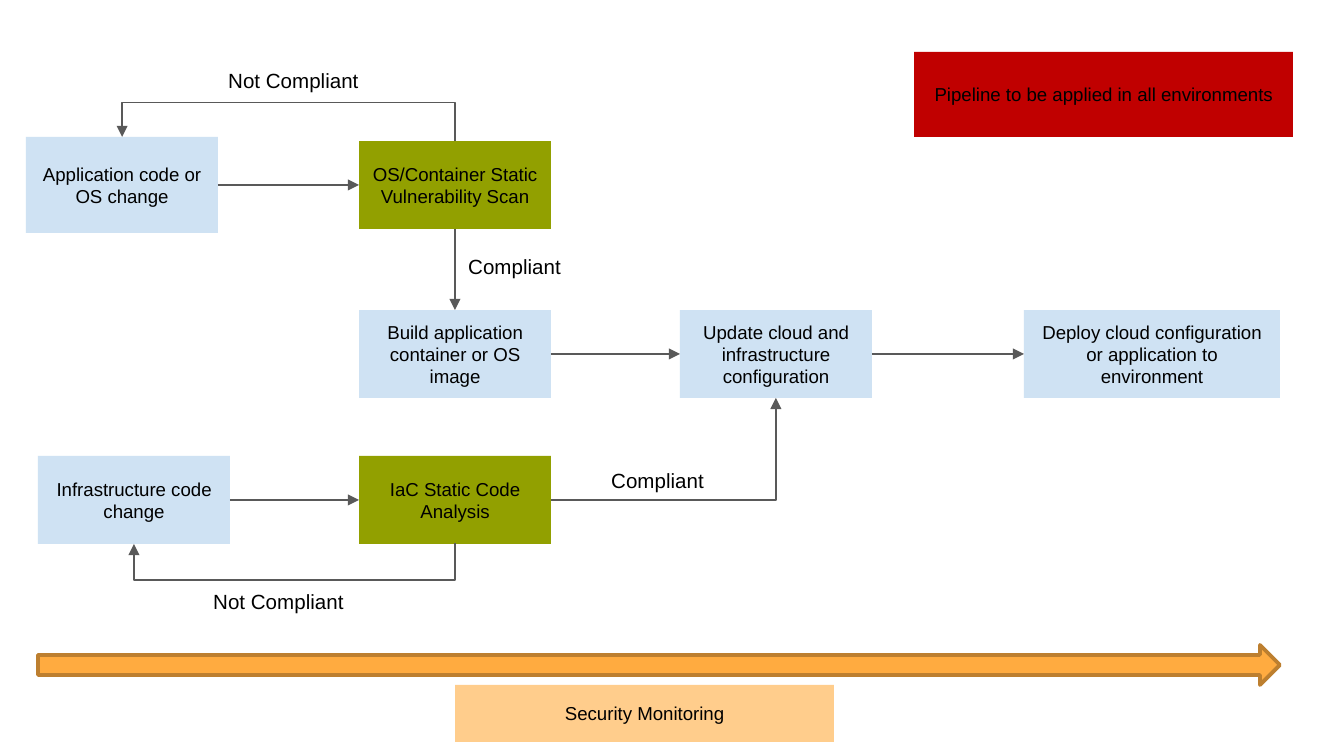
import pptx
import pptx.util
import pptx.dml.color
import pptx.enum.shapes
import pptx.enum.text
import pptx.oxml
import pptx.oxml.ns

SHAPE = pptx.enum.shapes.MSO_SHAPE
LINE = pptx.enum.shapes.MSO_CONNECTOR
ALIGN = pptx.enum.text.PP_ALIGN
BLUE, GREEN, RED, PEACH = "CFE2F3", "92A000", "C00000", "FFCD8C"


def px(n):
    return pptx.util.Emu(round(n * 914400 / 134.4))


def rgb(hex_value):
    return pptx.dml.color.RGBColor.from_string(hex_value)


def write(tf, text, size=10, align=ALIGN.CENTER, color="000000"):
    p = tf.paragraphs[0]
    p.alignment = align
    r = p.add_run()
    r.text = text
    r.font.name = "Arial"
    r.font.size = pptx.util.Pt(size)
    r.font.color.rgb = rgb(color)


def filled(s, kind, left, top, width, height, fill):
    sp = s.shapes.add_shape(kind, px(left), px(top), px(width), px(height))
    sp.shadow.inherit = False
    sp.fill.solid()
    sp.fill.fore_color.rgb = rgb(fill)
    sp.line.fill.background()
    return sp


def box(s, text, left, top, width=192, height=88, fill=BLUE):
    tf = filled(s, SHAPE.RECTANGLE, left, top, width, height, fill).text_frame
    tf.word_wrap = True
    tf.vertical_anchor = pptx.enum.text.MSO_ANCHOR.MIDDLE
    tf.margin_left = tf.margin_right = pptx.util.Inches(0.1)
    tf.margin_top = tf.margin_bottom = pptx.util.Inches(0.1)
    write(tf, text)


def label(s, text, left, top, width):
    sp = s.shapes.add_textbox(px(left), px(top), px(width), px(39))
    tf = sp.text_frame
    tf.word_wrap = False
    tf.auto_size = pptx.enum.text.MSO_AUTO_SIZE.SHAPE_TO_FIT_TEXT
    write(tf, text, size=11, align=ALIGN.LEFT)


def arrow(s, x1, y1, x2, y2, kind=LINE.STRAIGHT):
    c = s.shapes.add_connector(kind, px(x1), px(y1), px(x2), px(y2))
    c.line.color.rgb = rgb("595959")
    c.line.width = pptx.util.Pt(0.75)
    ln = c.line._get_or_add_ln()
    tail = pptx.oxml.parse_xml(
        '<a:tailEnd %s type="triangle"/>' % pptx.oxml.ns.nsdecls("a"))
    ln.append(tail)
    effects = pptx.oxml.parse_xml(
        "<a:effectLst %s/>" % pptx.oxml.ns.nsdecls("a"))
    ln.addnext(effects)
    return c


def corner_arrow(s, x1, y1, x2, y2):
    c = arrow(s, x1, y1, x2, y2, LINE.ELBOW)
    c._element.spPr.find(pptx.oxml.ns.qn("a:prstGeom")).set(
        "prst", "bentConnector2")


def loop_arrow(s, x1, y1, x2, y2, rail):
    cx, cy = (x1 + x2) / 2, (y1 + y2) / 2
    half_w, half_h = abs(y2 - y1) / 2, abs(x2 - x1) / 2
    up = 1 if rail < y1 else -1
    c = arrow(s, cx - half_w, cy + up * half_h,
              cx + half_w, cy - up * half_h, LINE.ELBOW)
    c._element.spPr.find(pptx.oxml.ns.qn("a:xfrm")).set(
        "rot", str((180 + up * 90) * 60000))
    geom = c._element.spPr.find(pptx.oxml.ns.qn("a:prstGeom"))
    bend = round(abs(rail - y1) / (2 * half_w) * 100000)
    guides = pptx.oxml.parse_xml(
        '<a:avLst %s><a:gd name="adj1" fmla="val %d"/></a:avLst>'
        % (pptx.oxml.ns.nsdecls("a"), bend))
    for old in list(geom):
        geom.remove(old)
    geom.append(guides)


def main():
    prs = pptx.Presentation()
    prs.slide_width, prs.slide_height = px(1344), px(756)
    s = prs.slides.add_slide(prs.slide_layouts[6])

    box(s, "Build application container or OS image", 359, 310)
    box(s, "Update cloud and infrastructure configuration", 680, 310)
    box(s, "Deploy cloud configuration or application to environment",
        1024, 310, width=256)
    box(s, "Application code or OS change", 26, 137, height=96)
    box(s, "Infrastructure code change", 38, 456)
    box(s, "IaC Static Code Analysis", 359, 456, fill=GREEN)
    box(s, "OS/Container Static Vulnerability Scan", 359, 141, fill=GREEN)
    box(s, "Security Monitoring", 455, 685, 379, 57, PEACH)
    box(s, "Pipeline to be applied in all environments",
        914, 52, 379, 85, RED)

    for x1, x2, y in ((218, 359, 185), (230, 359, 500),
                      (551, 680, 354), (872, 1024, 354)):
        arrow(s, x1, y, x2, y)
    arrow(s, 455, 229, 455, 310)
    corner_arrow(s, 551, 500, 776, 398)
    loop_arrow(s, 455, 141, 122, 137, rail=103)
    loop_arrow(s, 455, 543, 134, 544, rail=580)

    for left, top in ((598, 461), (455, 247)):
        label(s, "Compliant", left, top, 121)
    for left, top in ((215, 61), (200, 582)):
        label(s, "Not Compliant", left, top, 158)

    timeline = filled(s, SHAPE.RIGHT_ARROW, 38, 645, 1242, 40, "FFAB40")
    timeline.line.color.rgb = rgb("BD7F2F")
    timeline.line.width = pptx.util.Pt(2)

    prs.save("out.pptx")


main()
